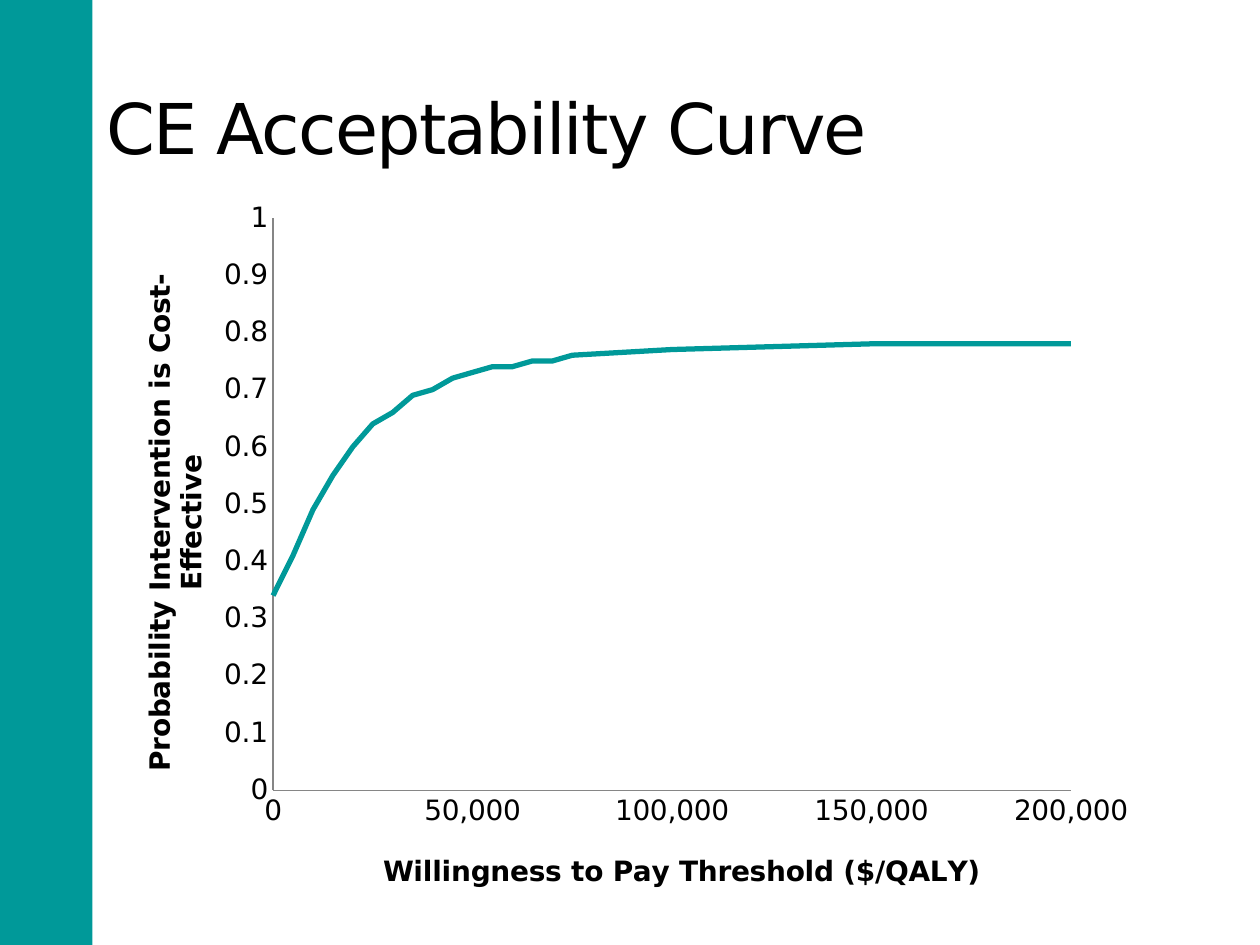
from dataclasses import dataclass

from pptx import Presentation
from pptx.chart.data import XyChartData
from pptx.dml.color import RGBColor
from pptx.enum.chart import XL_CHART_TYPE, XL_TICK_MARK
from pptx.enum.shapes import MSO_SHAPE
from pptx.enum.text import MSO_ANCHOR
from pptx.oxml import parse_xml
from pptx.oxml.ns import nsdecls, qn
from pptx.util import Emu, Pt

PX = 7620  # EMU per px, 120 px to the inch


@dataclass(frozen=True)
class Theme:
    accent: RGBColor = RGBColor(0x00, 0x99, 0x99)
    ink: RGBColor = RGBColor(0x00, 0x00, 0x00)
    axis: RGBColor = RGBColor(0x86, 0x86, 0x86)
    font: str = "DejaVu Sans"
    title_size: Pt = Pt(40)
    chart_size: Pt = Pt(16)
    curve_width: Pt = Pt(3)


THEME = Theme()

THRESHOLDS = [*range(0, 80000, 5000), 100000, 150000, 200000]
PROBABILITIES = [0.34, 0.41, 0.49, 0.55, 0.6, 0.64, 0.66, 0.69, 0.7, 0.72,
                 0.73, 0.74, 0.74, 0.75, 0.75, 0.76, 0.77, 0.78, 0.78]


def scaled(box):
    return [Emu(length * PX) for length in box]


def style_font(font, size, bold=False):
    font.name = THEME.font
    font.size = size
    font.bold = bold
    font.color.rgb = THEME.ink


def add_side_band(page, box):
    band = page.shapes.add_shape(MSO_SHAPE.RECTANGLE, *scaled(box))
    band.shadow.inherit = False
    band.fill.solid()
    band.fill.fore_color.rgb = THEME.accent
    band.line.fill.background()


def add_title(page, box, text):
    frame = page.shapes.add_textbox(*scaled(box)).text_frame
    frame.word_wrap = True
    frame.vertical_anchor = MSO_ANCHOR.MIDDLE
    frame.text = text
    span = frame.paragraphs[0].runs[0]
    style_font(span.font, THEME.title_size)
    span.font._element.set("spc", "-100")


def set_layout(element, index, target="", **fractions):
    """Place a chart part by fractions of the chart's size."""
    for old in element.findall(qn("c:layout")):
        element.remove(old)
    inner = f'<c:layoutTarget val="{target}"/>' if target else ""
    inner += '<c:xMode val="edge"/><c:yMode val="edge"/>'
    inner += "".join(f'<c:{key} val="{value}"/>' for key, value in fractions.items())
    element.insert(index, parse_xml(
        f'<c:layout {nsdecls("c")}><c:manualLayout>{inner}</c:manualLayout></c:layout>'))


def style_axis(axis, title, maximum, step, number_format, x, y):
    axis.minimum_scale, axis.maximum_scale, axis.major_unit = 0, maximum, step
    axis.has_major_gridlines = False
    axis.major_tick_mark = axis.minor_tick_mark = XL_TICK_MARK.NONE
    axis.tick_labels.number_format = number_format
    axis.tick_labels.number_format_is_linked = False
    style_font(axis.tick_labels.font, THEME.chart_size)
    axis.format.line.color.rgb = THEME.axis
    frame = axis.axis_title.text_frame
    frame.text = title
    style_font(frame.paragraphs[0].runs[0].font, THEME.chart_size, bold=True)
    set_layout(axis.axis_title._element, 1, x=x, y=y)


def add_curve_chart(page, box):
    data = XyChartData()
    points = data.add_series("Series 1")
    for threshold, probability in zip(THRESHOLDS, PROBABILITIES):
        points.add_data_point(threshold, probability)
    chart = page.shapes.add_chart(
        XL_CHART_TYPE.XY_SCATTER_SMOOTH_NO_MARKERS, *scaled(box), data).chart
    chart.has_title = False
    chart.has_legend = False
    style_font(chart.font, THEME.chart_size)
    chart.plots[0].vary_by_categories = False
    curve = chart.plots[0].series[0]
    curve.smooth = True
    curve.format.line.color.rgb = THEME.accent
    curve.format.line.width = THEME.curve_width
    style_axis(chart.category_axis, "Willingness to Pay Threshold ($/QALY)",
               200000, 50000, "#,##0", x=0.26, y=0.91)
    style_axis(chart.value_axis, "Probability Intervention is Cost-Effective",
               1, 0.1, "General", x=0.03, y=0.11)
    plot_area = chart._chartSpace.find(f'{qn("c:chart")}/{qn("c:plotArea")}')
    set_layout(plot_area, 0, "inner", x=0.16, y=0.04, w=0.76, h=0.79)


def main():
    deck = Presentation()
    deck.slide_width, deck.slide_height = scaled((1200, 900))
    page = deck.slides.add_slide(deck.slide_layouts[6])
    add_side_band(page, (-2, 0, 90, 900))
    add_title(page, (90, 70, 1020, 100), "CE Acceptability Curve")
    add_curve_chart(page, (100, 180, 1000, 690))
    deck.save("out.pptx")


if __name__ == "__main__":
    main()
